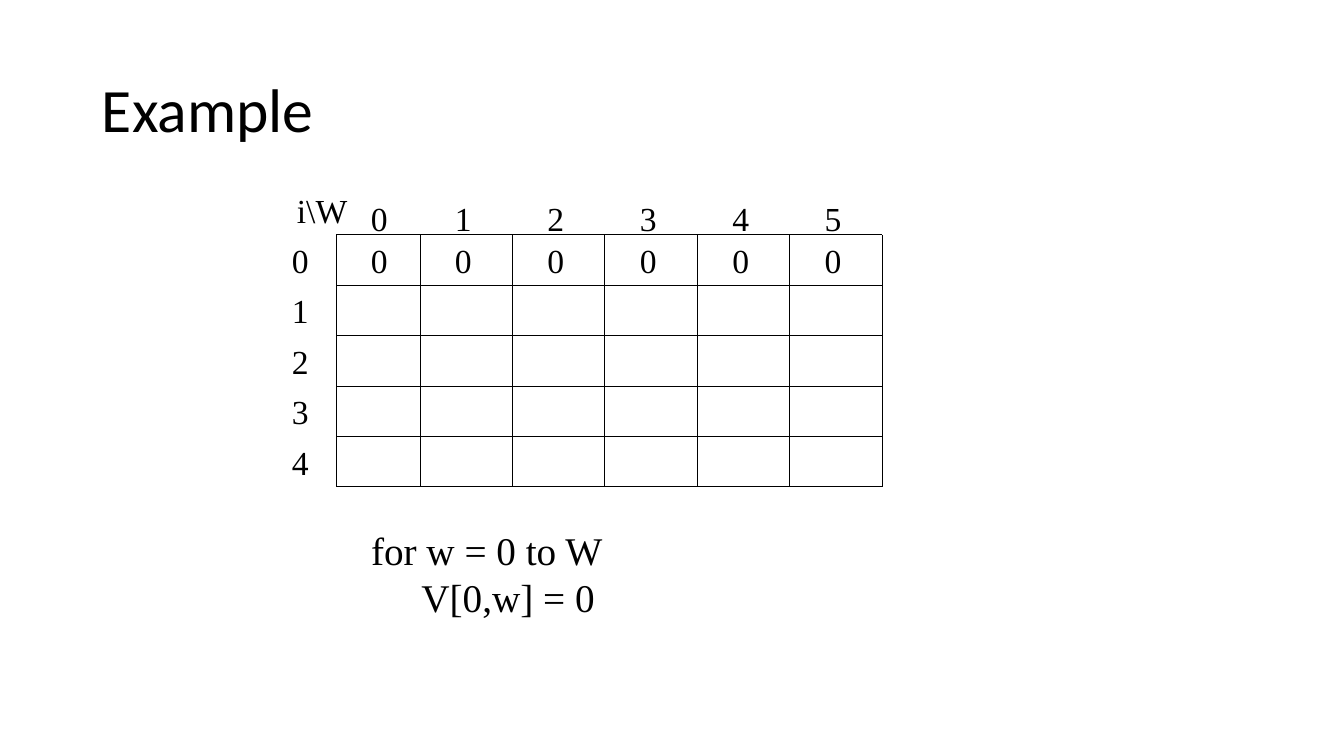
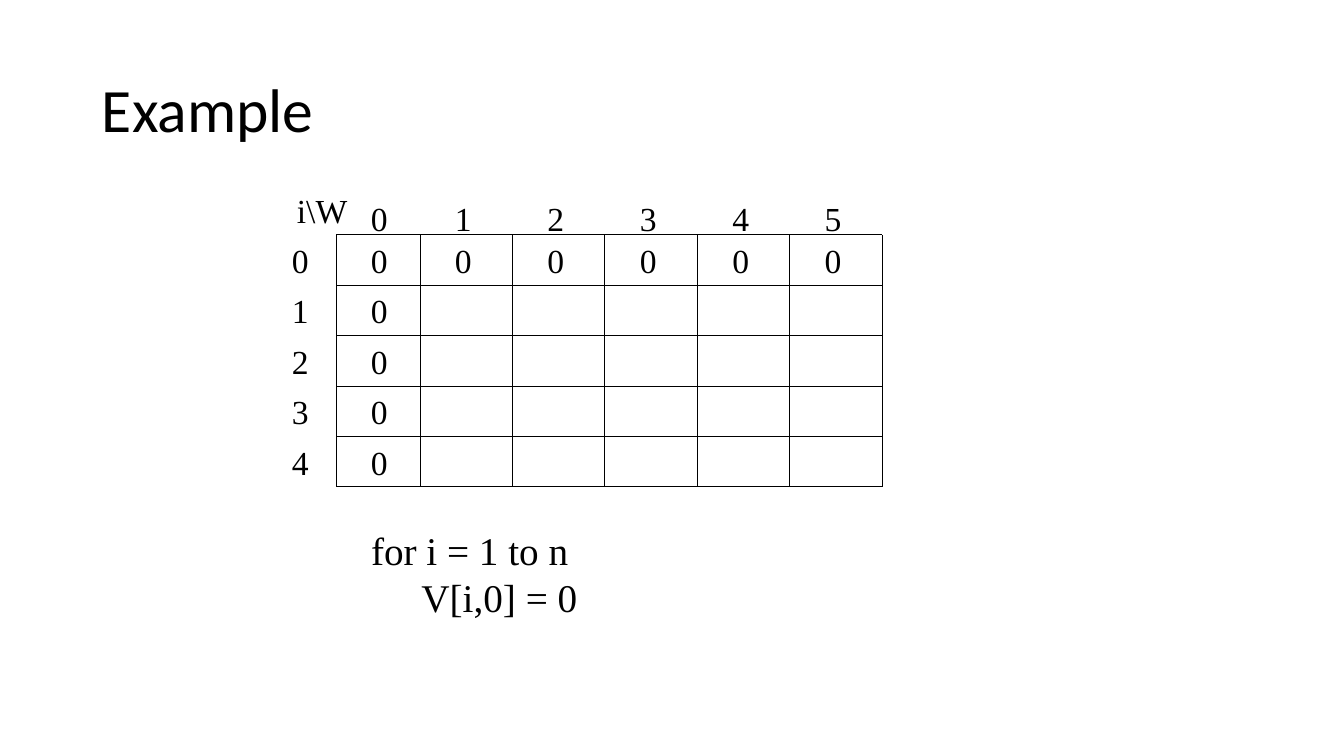
import pptx
import pptx.util
import pptx.dml.color
import pptx.enum.shapes
import pptx.enum.text
import pptx.oxml.ns
import lxml.etree

PX = 914400 / 100.8
COLORS = {"ink": "000000"}
INK = pptx.dml.color.RGBColor.from_string(COLORS["ink"])
SERIF = "Times New Roman"

# Grid: a narrow first column, then five equal ones; five equal rows
LEFT, SPLIT, RIGHT = 336, 420, 882
TOP, BOTTOM = 235, 487
COLS, ROWS = 6, 5
xs = [LEFT] + [SPLIT + (RIGHT - SPLIT) * i / (COLS - 1) for i in range(COLS)]
ys = [TOP + (BOTTOM - TOP) * i / ROWS for i in range(ROWS + 1)]
INSET = 25
HEAD_Y, SIDE_X = 193, 282
DIGIT = (37, 50)


def add_text(slide, box, lines, size, face=SERIF, wrap=True):
    """Add a text box, given in pixels, and return its text frame."""
    shape = slide.shapes.add_textbox(*[round(v * PX) for v in box])
    frame = shape.text_frame
    frame.word_wrap = wrap
    frame.text = lines
    for para in frame.paragraphs:
        para.font.size = pptx.util.Pt(size)
        para.font.name = face
        para.font.color.rgb = INK
    return frame


def add_line(slide, x1, y1, x2, y2):
    """Draw a thin grid line between two points in pixels."""
    ends = [round(v * PX) for v in (x1, y1, x2, y2)]
    line = slide.shapes.add_connector(
        pptx.enum.shapes.MSO_CONNECTOR.STRAIGHT, *ends)
    line.line.color.rgb = INK
    line.line.width = pptx.util.Pt(0.75)
    props = line._element.spPr
    lxml.etree.SubElement(props, pptx.oxml.ns.qn("a:effectLst"))


first_row = [(0, col) for col in range(COLS)]
first_col = [(row, 0) for row in range(1, ROWS)]
steps = [
    ("for w = 0 to W\n\tV[0,w] = 0", first_row),
    ("for i = 1 to n\n\tV[i,0] = 0", first_row + first_col),
]

deck = pptx.Presentation()
deck.slide_width = pptx.util.Inches(13.33)
deck.slide_height = pptx.util.Inches(7.5)

for code, zeros in steps:
    slide = deck.slides.add_slide(deck.slide_layouts[6])

    title = add_text(slide, (92, 40, 1159, 146), "Example", 44, "Calibri")
    title.vertical_anchor = pptx.enum.text.MSO_ANCHOR.MIDDLE
    title.paragraphs[0].line_spacing = 0.9

    for x in xs:
        add_line(slide, x, TOP, x, BOTTOM)
    for y in ys:
        add_line(slide, LEFT, y, RIGHT, y)

    corner = add_text(slide, (284, 185, 76, 50), "i\\W", 24)
    corner.paragraphs[0].alignment = pptx.enum.text.PP_ALIGN.CENTER

    marks = [(xs[col] + INSET, HEAD_Y, str(col)) for col in range(COLS)]
    marks += [(SIDE_X, ys[row], str(row)) for row in range(ROWS)]
    marks += [(xs[col] + INSET, ys[row], "0") for row, col in zeros]
    for x, y, digit in marks:
        add_text(slide, (x, y, *DIGIT), digit, 24, wrap=False)

    add_text(slide, (361, 521, 378, 104), code, 28)

deck.save("out.pptx")
